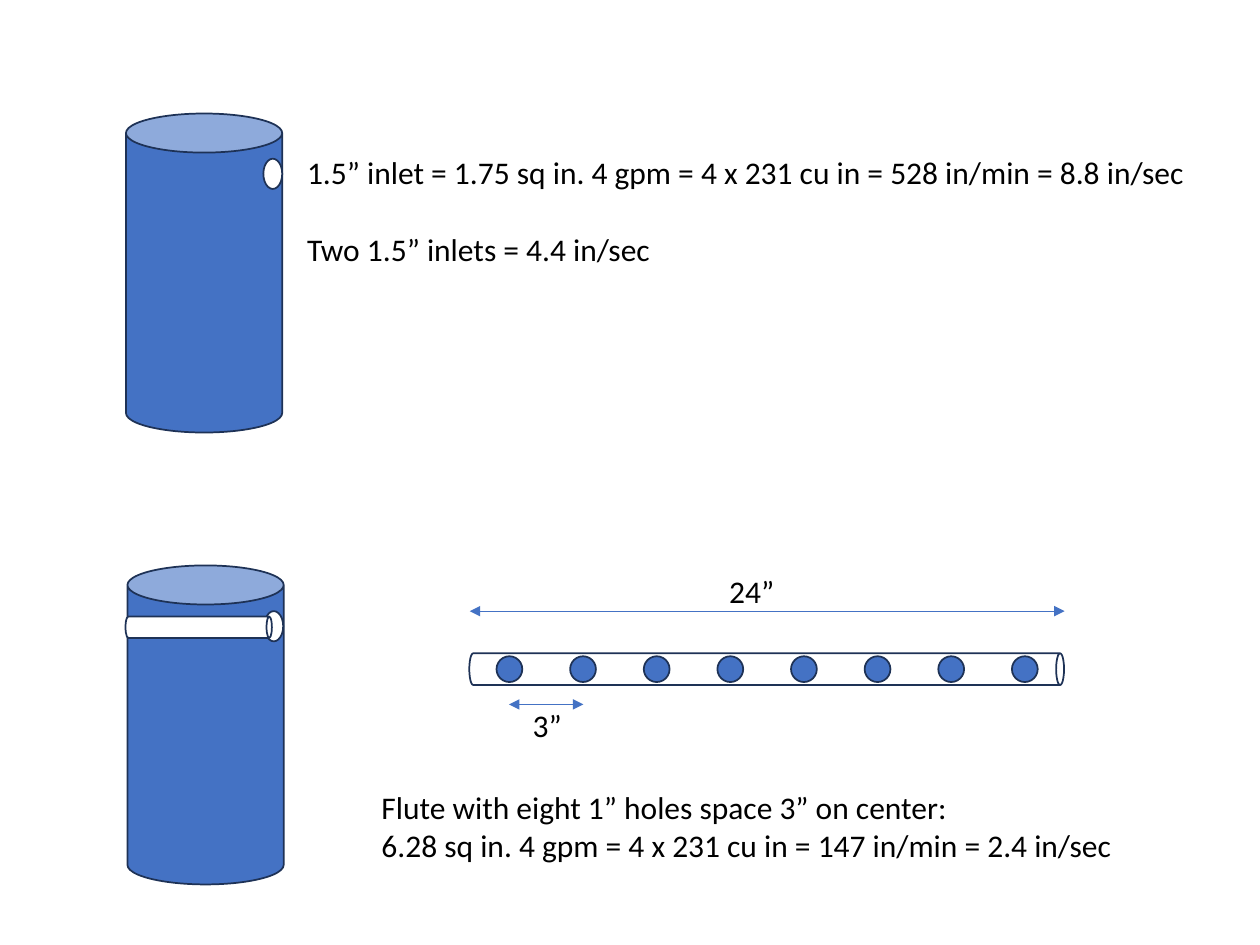
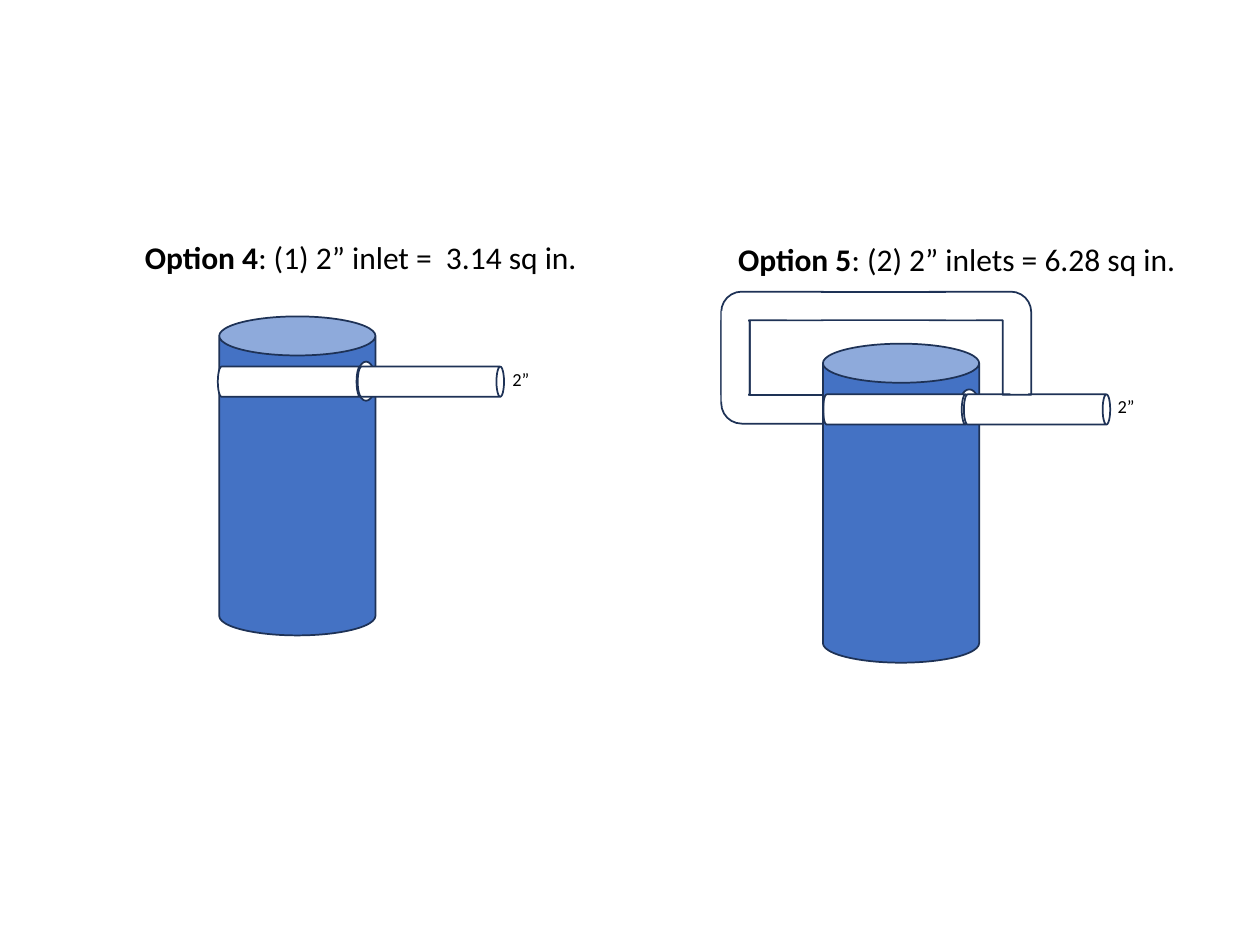
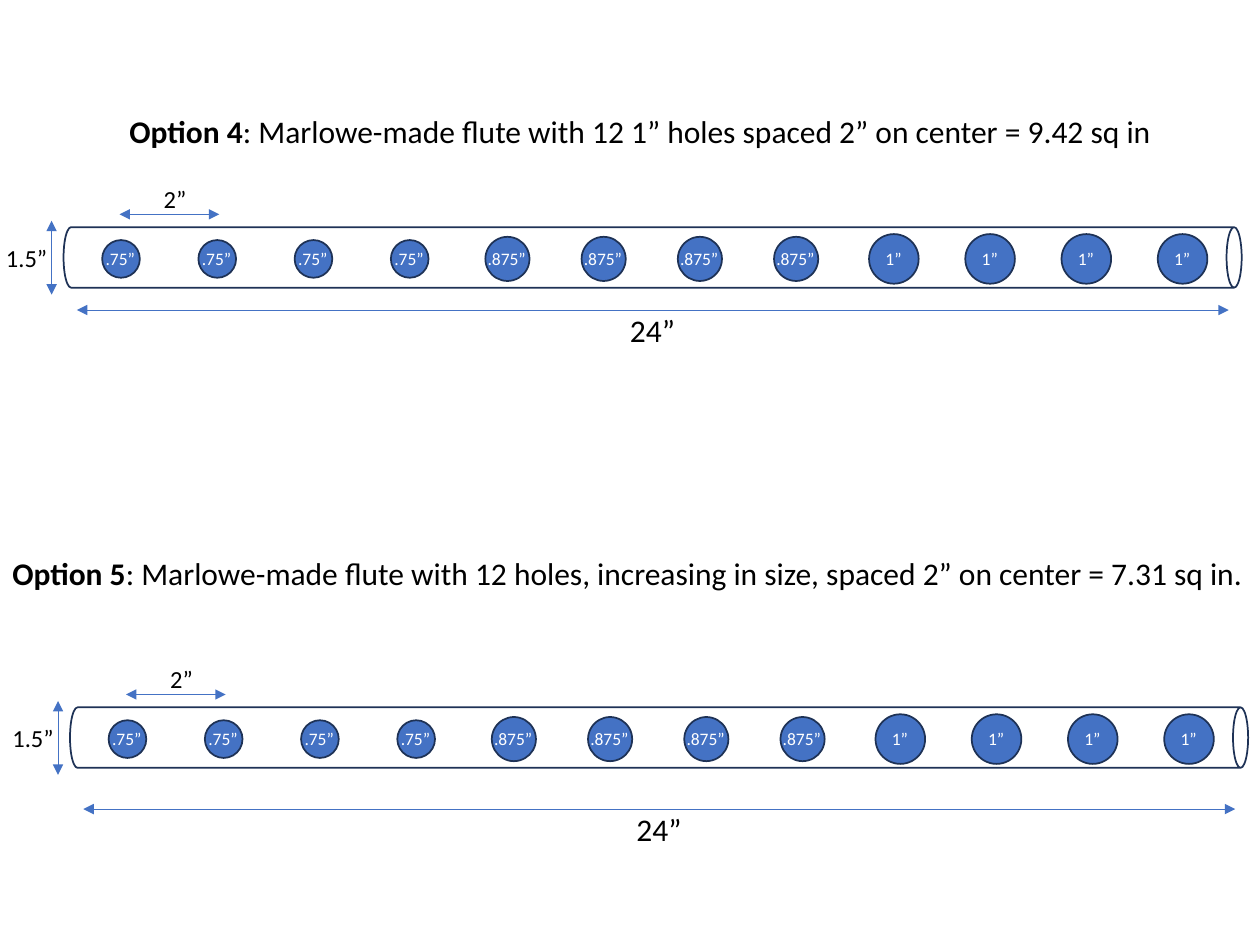
from lxml import etree
from pptx import Presentation
from pptx.dml.color import RGBColor
from pptx.enum.shapes import MSO_CONNECTOR, MSO_SHAPE
from pptx.enum.text import MSO_AUTO_SIZE
from pptx.oxml.ns import qn
from pptx.util import Cm, Pt

CAN, ELLIPSE = MSO_SHAPE.CAN, MSO_SHAPE.OVAL
RECTANGLE, ELBOW = MSO_SHAPE.RECTANGLE, MSO_SHAPE.BENT_ARROW
STRAIGHT = MSO_CONNECTOR.STRAIGHT
FIT_TEXT = MSO_AUTO_SIZE.SHAPE_TO_FIT_TEXT

BLUE = RGBColor(0x44, 0x72, 0xC4)
NAVY = RGBColor(0x1E, 0x32, 0x56)
WHITE = RGBColor(0xFF, 0xFF, 0xFF)
BLACK = RGBColor(0x00, 0x00, 0x00)

FRAME_FORMAT = {"word_wrap": False, "auto_size": FIT_TEXT}
ELBOW_BEND = (0.28, 0.14, 0, 0.2)
TANK_SIZE = (3.15, 6.43)
PIPE_SIZE = (2.95, 0.61)


def add_part(slide, kind, box, fill, outlined=True, turn=0, flips=()):
    """Add a shape whose box, in cm, is given as it appears after turning."""
    left, top, width, height = box
    if turn in (90, 270):
        left, top = left + (width - height) / 2, top + (height - width) / 2
        width, height = height, width
    part = slide.shapes.add_shape(kind, Cm(left), Cm(top), Cm(width), Cm(height))
    part.rotation = turn
    part.shadow.inherit = False
    for flip in flips:
        part._element.spPr.find(qn("a:xfrm")).set(flip, "1")
    if fill is None:
        part.fill.background()
    else:
        part.fill.solid()
        part.fill.fore_color.rgb = fill
    if outlined:
        part.line.color.rgb = NAVY
        part.line.width = Pt(1)
    else:
        part.line.fill.background()
    return part


def add_text(slide, box, text, size=18, color=BLACK, lead="", gap=0):
    """Add text, one paragraph a line, after an optional bold lead."""
    frame = slide.shapes.add_textbox(*map(Cm, box)).text_frame
    for name, value in FRAME_FORMAT.items():
        setattr(frame, name, value)
    for number, line in enumerate(text.split("\n")):
        paragraph = frame.add_paragraph() if number else frame.paragraphs[0]
        if number:
            paragraph.space_before = Pt(gap)
        for words, bold in ((lead if number == 0 else "", True), (line, False)):
            if words:
                run = paragraph.add_run()
                run.text = words
                font_format = {"name": "Calibri", "size": Pt(size), "bold": bold}
                for name, value in font_format.items():
                    setattr(run.font, name, value)
                run.font.color.rgb = color


deck = Presentation()
deck.slide_width, deck.slide_height = Cm(25.4), Cm(19.05)
blank = deck.slide_layouts[6]
inlets, options, flutes = [deck.slides.add_slide(blank) for _ in range(3)]

# Slide 1: tank with a plain inlet
add_part(inlets, CAN, (2.54, 2.29, *TANK_SIZE), BLUE)
add_part(inlets, ELLIPSE, (5.31, 3.2, 0.38, 0.61), WHITE)
add_text(inlets, (5.94, 2.97, 18.44, 2.57),
         "1.5” inlet = 1.75 sq in. 4 gpm = 4 x 231 cu in = 528 in/min = 8.8 in/sec\n"
         "Two 1.5” inlets = 4.4 in/sec", gap=22)

# Slide 1: tank with a flute, and the flute enlarged
add_part(inlets, CAN, (2.57, 11.4, *TANK_SIZE), BLUE)
add_part(inlets, ELLIPSE, (5.33, 12.32, 0.38, 0.61), WHITE)
add_part(inlets, CAN, (2.53, 12.43, 2.95, 0.43), WHITE, turn=90)
add_part(inlets, CAN, (9.46, 13.17, 11.99, 0.64), WHITE, turn=90)
for hole in range(8):
    add_part(inlets, ELLIPSE, (10.01 + hole * 10.39 / 7, 13.23, 0.52, 0.52), BLUE)
add_text(inlets, (7.44, 15.77, 15.42, 1.8),
         "Flute with eight 1” holes space 3” on center:\n"
         "6.28 sq in. 4 gpm = 4 x 231 cu in = 147 in/min = 2.4 in/sec")

# Slide 2: option 4, one inlet pipe
add_part(options, CAN, (4.42, 6.38, *TANK_SIZE), BLUE)
add_part(options, ELLIPSE, (7.19, 7.29, 0.38, 0.79), WHITE)
for pipe_left in (4.39, 7.21):
    add_part(options, CAN, (pipe_left, 7.39, *PIPE_SIZE), WHITE, turn=90)

# Slide 2: option 5, pipe looped round to a second inlet
add_part(options, CAN, (16.59, 6.93, *TANK_SIZE), BLUE)
add_part(options, ELLIPSE, (19.35, 7.85, 0.38, 0.61), WHITE)
for pipe_left in (16.59, 19.43):
    add_part(options, CAN, (pipe_left, 7.95, *PIPE_SIZE), WHITE, turn=90)
loop_parts = [
    # kind, box, fill, outlined, turn, flips
    (ELBOW, (14.54, 5.88, 2.06, 2.08), None, True, 90, ("flipV",)),
    (RECTANGLE, (16.57, 5.88, 2.49, 0.58), WHITE, True, 90, ()),
    (RECTANGLE, (20.37, 6.65, 0.36, 1.68), WHITE, False, 0, ()),
    (ELBOW, (14.54, 6.46, 2.06, 2.08), None, True, 270, ()),
    (ELBOW, (18.73, 5.88, 2.06, 2.08), None, True, 270, ("flipH", "flipV")),
    (RECTANGLE, (15.86, 5.91, 3.81, 0.53), WHITE, False, 90, ()),
    (RECTANGLE, (14.55, 6.27, 0.53, 1.83), WHITE, False, 0, ()),
]
for kind, *look in loop_parts:
    loop_part = add_part(options, kind, *look)
    if kind == ELBOW:
        for position, bend in enumerate(ELBOW_BEND):
            loop_part.adjustments[position] = bend

# Slide 2: headings and pipe sizes
add_text(options, (2.67, 4.67, 9.32, 1.8), ": (1) 2” inlet =  3.14 sq in.",
         lead="Option 4")
add_text(options, (14.63, 4.72, 9.42, 1.02), ": (2) 2” inlets = 6.28 sq in.",
         lead="Option 5")
for size_left, size_top in ((10.08, 7.29), (22.28, 7.85)):
    add_text(options, (size_left, size_top, 0.86, 0.71), "2”", 10.5)

# Dimension arrows: slide, start, end, label, label box, label size
dimensions = [
    (inlets, (9.47, 12.32), (21.46, 12.32), "24”", (14.45, 11.4, 1.42, 1.02), 18),
    (inlets, (10.26, 14.2), (11.76, 14.2), "3”", (10.49, 14.1, 1.12, 1.02), 18),
]

# Slide 3: headings
add_text(flutes, (2.36, 2.13, 21.39, 1.02),
         ": Marlowe-made flute with 12 1” holes spaced 2” on center = 9.42 sq in",
         lead="Option 4")
add_text(flutes, (0, 11.05, 25.91, 1.8),
         ": Marlowe-made flute with 12 holes, increasing in size, "
         "spaced 2” on center = 7.31 sq in.", lead="Option 5")

# Slide 3: flutes with three groups of four holes
hole_groups = [(".75”", 0.76, 1.12), (".875”", 0.89, 1.3), ("1”", 1, 0.84)]
for shift, drop, length_gap in ((0, 0, 0), (0.13, 9.68, 0.38)):
    add_part(flutes, CAN, (1.28 + shift, 4.58 + drop, 23.75, 1.22), WHITE, turn=90)
    middle = 5.22 + drop
    for group, (bore, diameter, label_width) in enumerate(hole_groups):
        for hole in range(4):
            center = 2.44 + shift + group * 7.79 + hole * 1.94
            add_part(flutes, ELLIPSE, (center - diameter / 2, middle - diameter / 2,
                                       diameter, diameter), BLUE)
            add_text(flutes, (center - label_width / 2, 4.88 + drop,
                              label_width, 0.69), bore, 10, WHITE)
    length_top = 6.25 + drop + length_gap
    dimensions += [
        (flutes, (1.55 + shift, length_top), (24.77 + shift, length_top), "24”",
         (12.45 + shift, length_top - 0.1, 1.42, 1.02), 18),
        (flutes, (2.41 + shift, 4.32 + drop), (4.42 + shift, 4.32 + drop), "2”",
         (3.05 + shift, 3.58 + drop, 0.97, 0.86), 14),
        (flutes, (1.04 + shift, 5.94 + drop), (1.04 + shift, 4.45 + drop), "1.5”",
         (shift - 0.13, 4.78 + drop, 1.35, 0.86), 14),
    ]

# Draw every dimension with an arrowhead at both ends
for slide, start, end, label, label_box, label_size in dimensions:
    arrow = slide.shapes.add_connector(STRAIGHT, *map(Cm, start + end))
    arrow.line.color.rgb = BLUE
    arrow.line.width = Pt(0.5)
    for tip in ("a:headEnd", "a:tailEnd"):
        etree.SubElement(arrow.line._get_or_add_ln(), qn(tip), type="triangle")
    etree.SubElement(arrow._element.spPr, qn("a:effectLst"))
    add_text(slide, label_box, label, label_size)

deck.save("out.pptx")
